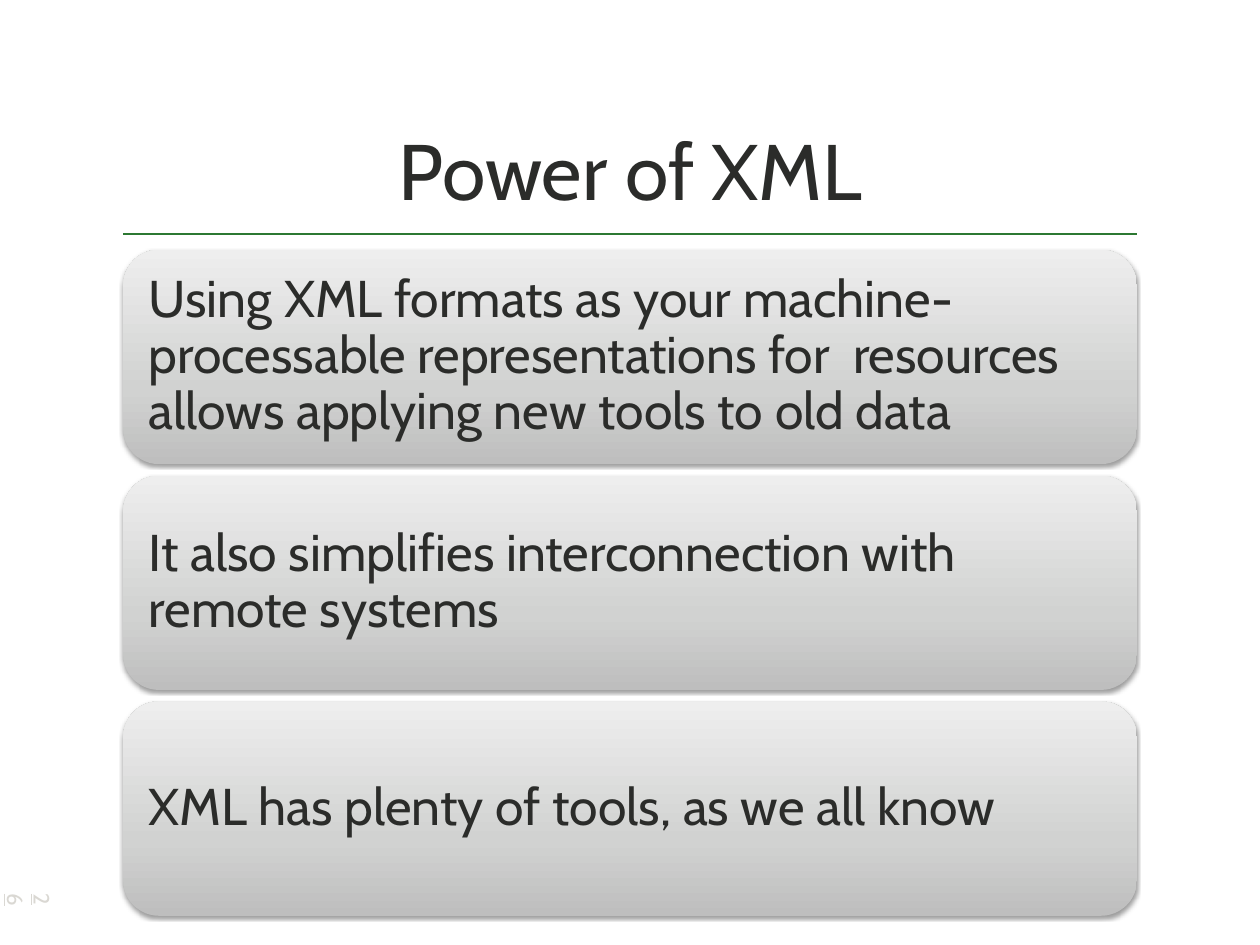
from copy import deepcopy
from dataclasses import dataclass

from lxml.etree import SubElement
from pptx import Presentation
from pptx.dml.color import RGBColor
from pptx.enum.shapes import MSO_CONNECTOR, MSO_SHAPE
from pptx.enum.text import MSO_ANCHOR, PP_ALIGN
from pptx.oxml.ns import qn
from pptx.util import Emu, Pt

EMU_PER_PX = 9144


def px(length):
    return Emu(length * EMU_PER_PX)


@dataclass(frozen=True)
class Theme:
    font: str = "Cabin"
    ink: str = "2B2C2A"
    rule: str = "2C7832"
    faint: str = "DAD8D3"
    shadow: str = "000000"
    panel: tuple = ((0, "BEBEBE"), (0.35, "D1D2D1"), (1, "EEEEEE"))
    title_size: int = 64
    body_size: int = 42
    number_size: int = 18


class SlideBuilder:
    def __init__(self, deck, theme):
        self.theme = theme
        self.page = deck.slides.add_slide(deck.slide_layouts[6])

    def set_text(self, box, text, size, color, anchor, align, inset=None, wrap=True):
        frame = box.text_frame
        frame.word_wrap = wrap
        frame.vertical_anchor = anchor
        if inset is not None:
            frame.margin_left = frame.margin_right = px(inset)
            frame.margin_top = frame.margin_bottom = px(inset)
        para = frame.paragraphs[0]
        para.alignment = align
        span = para.add_run()
        span.text = text
        span.font.name = self.theme.font
        span.font.size = Pt(size)
        span.font.color.rgb = RGBColor.from_string(color)
        return para

    def title(self, text, left, top, width, height):
        box = self.page.shapes.add_textbox(px(left), px(top), px(width), px(height))
        self.set_text(box, text, self.theme.title_size, self.theme.ink,
                      MSO_ANCHOR.BOTTOM, PP_ALIGN.CENTER, inset=6)

    def rule(self, left, right, top):
        line = self.page.shapes.add_connector(
            MSO_CONNECTOR.STRAIGHT, px(left), px(top), px(right), px(top))
        line.line.color.rgb = RGBColor.from_string(self.theme.rule)
        line.line.width = Pt(2)
        SubElement(line._element.spPr, qn("a:effectLst"))

    def panel(self, text, left, top, width, height):
        panel = self.page.shapes.add_shape(
            MSO_SHAPE.ROUNDED_RECTANGLE, px(left), px(top), px(width), px(height))
        panel.line.fill.background()
        self.shade(panel)
        self.drop_shadow(panel)
        para = self.set_text(panel, text, self.theme.body_size, self.theme.ink,
                             MSO_ANCHOR.MIDDLE, PP_ALIGN.LEFT, inset=17)
        para.line_spacing = 0.9

    def shade(self, panel):
        panel.fill.gradient()
        panel.fill.gradient_angle = 90
        stop_list = panel._element.spPr.find(".//" + qn("a:gsLst"))
        stop_list.append(deepcopy(stop_list[-1]))
        for stop, (position, color) in zip(panel.fill.gradient_stops, self.theme.panel):
            stop.position = position
            stop.color.rgb = RGBColor.from_string(color)

    def drop_shadow(self, panel):
        panel.shadow.inherit = False
        effects = panel._element.spPr.find(qn("a:effectLst"))
        shadow = SubElement(effects, qn("a:outerShdw"), blurRad=str(Pt(3.1)),
                            dist=str(Pt(1.6)), dir="5400000", rotWithShape="0")
        color = SubElement(shadow, qn("a:srgbClr"), val=self.theme.shadow)
        SubElement(color, qn("a:alpha"), val="38000")

    def page_number(self, text, left, top, width, height):
        box = self.page.shapes.add_textbox(px(left), px(top), px(width), px(height))
        box.rotation = 90
        para = self.set_text(box, text, self.theme.number_size, self.theme.faint,
                             MSO_ANCHOR.TOP, PP_ALIGN.LEFT, wrap=False)
        para.runs[0].font.underline = True


def main():
    deck = Presentation()
    deck.slide_width, deck.slide_height = px(1422), px(1067)
    slide = SlideBuilder(deck, Theme())
    left, width = 139, 1144
    first_top, height, gap = 282, 242, 13
    points = (
        "Using XML formats as your machine-processable representations for  resources "
        "allows applying new tools to old data",
        "It also simplifies interconnection with remote systems",
        "XML has plenty of tools, as we all know",
    )

    slide.rule(left, left + width, 264)
    slide.title("Power of XML", left, 28, width, 222)
    for index, point in enumerate(points):
        slide.panel(point, left, first_top + index * (height + gap), width, height)
    slide.page_number("26", 28, 1000, 41, 39)
    deck.save("out.pptx")


if __name__ == "__main__":
    main()
